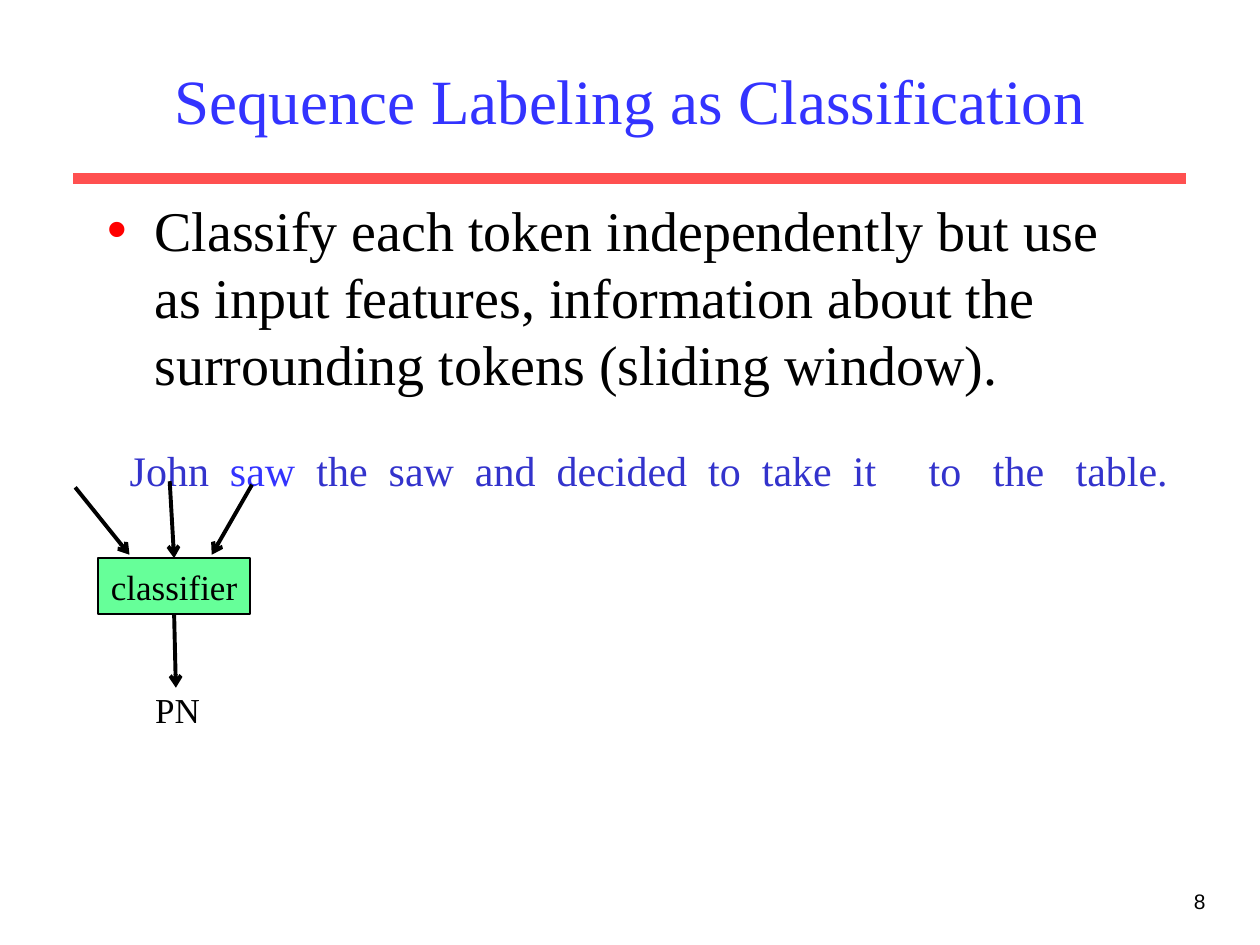
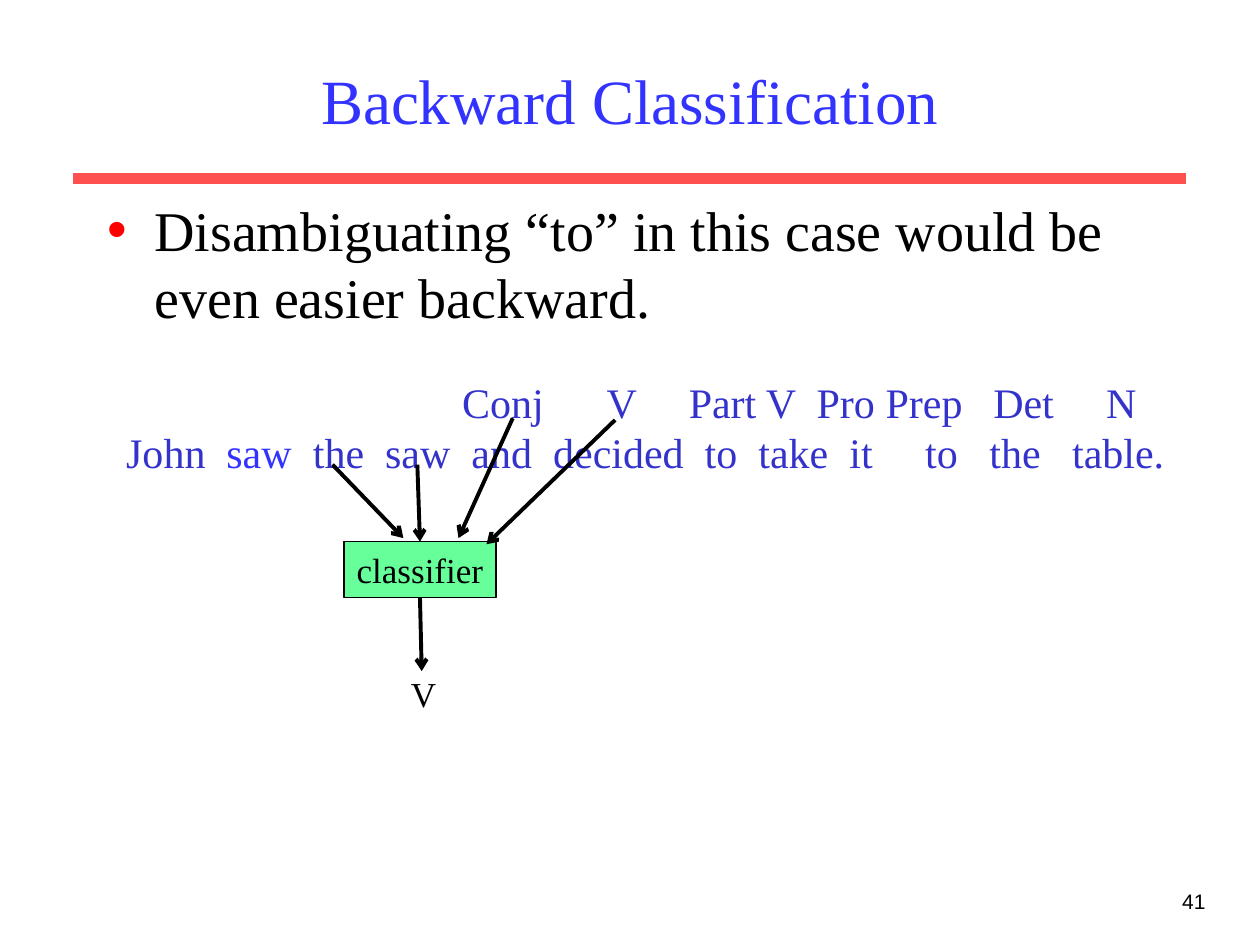
from lxml import etree
from pptx import Presentation
from pptx.dml.color import RGBColor
from pptx.enum.shapes import MSO_CONNECTOR, MSO_SHAPE
from pptx.enum.text import MSO_ANCHOR, MSO_AUTO_SIZE, PP_ALIGN
from pptx.oxml.ns import qn
from pptx.util import Pt

STRAIGHT = MSO_CONNECTOR.STRAIGHT
RECTANGLE = MSO_SHAPE.RECTANGLE
TOP, MIDDLE = MSO_ANCHOR.TOP, MSO_ANCHOR.MIDDLE
NO_FIT = MSO_AUTO_SIZE.NONE
LEFT, CENTER, RIGHT = PP_ALIGN.LEFT, PP_ALIGN.CENTER, PP_ALIGN.RIGHT
TOP_SIDE, BOTTOM_SIDE = 0, 2

SERIF, SANS = "Times New Roman", "Arial"
BLACK, RED, RULE_RED, GREEN = "000000", "FF0000", "FF5050", "66FF99"
TITLE_BLUE, SENTENCE_BLUE = "3333FF", "3333CC"

SENTENCE = "John saw the saw and decided to take it to the table.".split()
SENTENCE_STOPS = [57.3, 106.7, 148, 197.3, 244, 330.6, 361.3, 413.3, 456.6, 493.3, 540.6]
TAGS = "Conj V Part V Pro Prep Det N".split()
TAG_STOPS = [192, 274.5, 321.5, 365.5, 394.5, 434, 495.5, 560]


def color(value):
    return RGBColor.from_string(value)


def set_font(font, size, fill=BLACK, name=SERIF):
    for attribute, value in {"name": name, "size": Pt(size), "bold": False}.items():
        setattr(font, attribute, value)
    font.color.rgb = color(fill)


def set_frame(frame, anchor=TOP):
    settings = {"word_wrap": True, "auto_size": NO_FIT, "vertical_anchor": anchor}
    for attribute, value in settings.items():
        setattr(frame, attribute, value)


def place(shape, left, top, width, height):
    bounds = {"left": left, "top": top, "width": width, "height": height}
    for attribute, value in bounds.items():
        setattr(shape, attribute, Pt(value))


def write(shape, text, size, fill=BLACK, name=SERIF, align=CENTER, anchor=TOP):
    set_frame(shape.text_frame, anchor)
    paragraph = shape.text_frame.paragraphs[0]
    paragraph.text = text
    paragraph.alignment = align
    set_font(paragraph.runs[0].font, size, fill, name)
    return paragraph


def add_label(slide, text, bounds, size, **style):
    label = slide.shapes.add_textbox(*map(Pt, bounds))
    write(label, text, size, **style)


def add_line(slide, start, end, fill=BLACK, width=2.25, arrow=True):
    line = slide.shapes.add_connector(STRAIGHT, *map(Pt, (*start, *end)))
    line.line.color.rgb = color(fill)
    line.line.width = Pt(width)
    if arrow:
        etree.SubElement(line.line._get_or_add_ln(), qn("a:tailEnd"), type="arrow")
    etree.SubElement(line._element.spPr, qn("a:effectLst"))
    return line


def add_bullet(paragraph):
    properties = paragraph._p.get_or_add_pPr()
    properties.set("marL", str(Pt(27)))
    properties.set("indent", str(Pt(-27)))
    bullet_color = etree.SubElement(properties, qn("a:buClr"))
    etree.SubElement(bullet_color, qn("a:srgbClr"), val=RED)
    etree.SubElement(properties, qn("a:buChar"), char="•")


def add_slide(deck, title, statement, number):
    slide = deck.slides.add_slide(deck.slide_layouts[1])
    heading, body = slide.placeholders
    place(heading, 54, 18, 612, 78)
    write(heading, title, 36, TITLE_BLUE, anchor=MIDDLE)
    place(body, 54, 108, 612, 369)
    point = write(body, statement, 32, align=LEFT)
    point.space_before = Pt(0)
    add_bullet(point)
    add_line(slide, (42, 102), (678, 102), RULE_RED, 6, arrow=False)
    add_label(slide, number, (546, 504, 150, 36), 12, name=SANS, align=RIGHT)
    return slide


def add_tabbed_words(paragraph, words, stops, highlighted=None):
    tabs = etree.SubElement(paragraph._p.get_or_add_pPr(), qn("a:tabLst"))
    for stop in stops:
        etree.SubElement(tabs, qn("a:tab"), pos=str(Pt(stop)), algn="l")
    unstopped = len(words) - len(stops)
    for index, word in enumerate(words):
        run = paragraph.add_run()
        run.text = word if index < unstopped else "\t" + word
        set_font(run.font, 24, TITLE_BLUE if index == highlighted else SENTENCE_BLUE)


def add_sentence(slide, left, top, tagged=False):
    box = slide.shapes.add_textbox(Pt(left), Pt(top), Pt(624), Pt(65 if tagged else 36))
    frame = box.text_frame
    set_frame(frame)
    words_line = frame.paragraphs[0]
    if tagged:
        add_tabbed_words(words_line, TAGS, TAG_STOPS)
        words_line = frame.add_paragraph()
    add_tabbed_words(words_line, SENTENCE, SENTENCE_STOPS, highlighted=1)


def add_classifier(slide, left, top, focus, context, output):
    width, height = 87, 32
    center, bottom = left + width / 2, top + height
    classifier = slide.shapes.add_shape(RECTANGLE, *map(Pt, (left, top, width, height)))
    classifier.shadow.inherit = False
    classifier.fill.solid()
    classifier.fill.fore_color.rgb = color(GREEN)
    classifier.line.color.rgb = color(BLACK)
    classifier.line.width = Pt(1)
    write(classifier, "classifier", 20, anchor=MIDDLE)
    for start, end in context:
        add_line(slide, start, end)
    focus_arrow = add_line(slide, focus, (center, top))
    focus_arrow.end_connect(classifier, TOP_SIDE)
    output_arrow = add_line(slide, (center, bottom), (center + 1, bottom + 42))
    output_arrow.begin_connect(classifier, BOTTOM_SIDE)
    add_label(slide, output, (center - 26, bottom + 39, 56, 32), 20)


def main():
    deck = Presentation()
    deck.slide_width, deck.slide_height = Pt(720), Pt(540)

    forward = add_slide(
        deck,
        "Sequence Labeling as Classification",
        "Classify each token independently but use as input features, "
        "information about the surrounding tokens (sliding window).",
        "8",
    )
    add_sentence(forward, 67, 250.5)
    neighbors = [((43, 278.5), (74, 317)), ((144, 277), (121, 317))]
    add_classifier(forward, 56, 319, (97, 275), neighbors, "PN")

    backward = add_slide(
        deck,
        "Backward Classification",
        "Disambiguating “to” in this case would be even easier backward.",
        "41",
    )
    add_sentence(backward, 65, 211.5, tagged=True)
    neighbors = [
        ((190, 265.5), (230.5, 307.5)),
        ((293, 239), (262, 307.5)),
        ((351.5, 240), (278, 311)),
    ]
    add_classifier(backward, 196.5, 309.5, (238.5, 265.5), neighbors, "V")
    deck.save("out.pptx")


if __name__ == "__main__":
    main()
